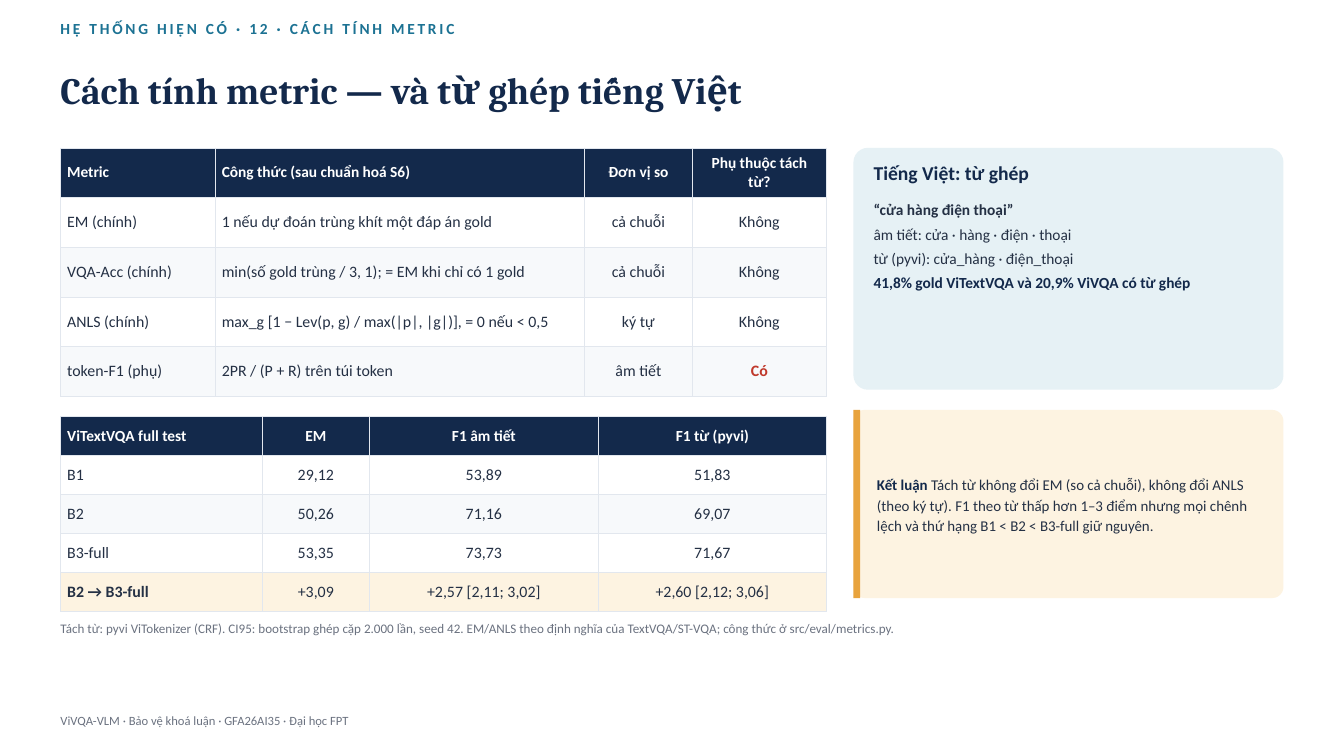
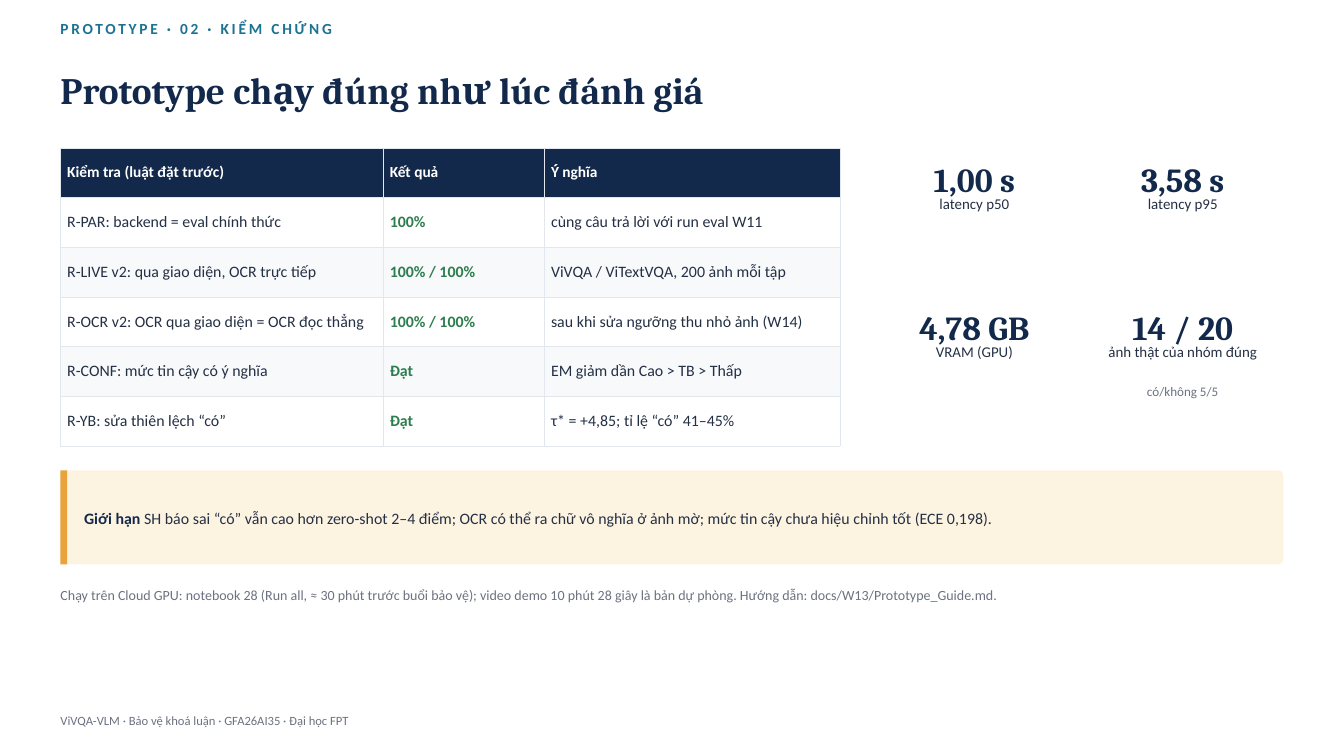
from lxml.etree import SubElement
from pptx import Presentation
from pptx.dml.color import RGBColor
from pptx.enum.shapes import MSO_SHAPE
from pptx.enum.text import MSO_ANCHOR, MSO_AUTO_SIZE, PP_ALIGN
from pptx.oxml import parse_xml
from pptx.oxml.ns import nsdecls, qn
from pptx.util import Inches, Pt

COLORS = {
    "navy": "13294B", "teal": "1C7293", "text": "243044", "muted": "6B7280",
    "white": "FFFFFF", "stripe": "F7F9FB", "grid": "E2E7EE", "ice": "E6F1F5",
    "cream": "FDF3E1", "amber": "E8A33D", "red": "C0392B", "green": "2E7D4F",
}
STYLES = {
    "kicker": {"name": "Calibri", "size": 16.5, "bold": True, "color": "teal"},
    "title": {"name": "Cambria", "size": 40, "bold": True, "color": "navy"},
    "header": {"name": "Calibri", "size": 16.5, "bold": True, "color": "white"},
    "cell": {"name": "Calibri", "size": 17, "bold": False, "color": "text"},
    "heading": {"name": "Calibri", "size": 21, "bold": True, "color": "navy"},
    "body": {"name": "Calibri", "size": 16.5, "bold": False, "color": "text"},
    "label": {"name": "Calibri", "size": 16, "bold": False, "color": "text"},
    "number": {"name": "Cambria", "size": 36, "bold": True, "color": "navy"},
    "note": {"name": "Calibri", "size": 14, "bold": False, "color": "muted"},
}
ALIGNS = {"l": PP_ALIGN.LEFT, "c": PP_ALIGN.CENTER}
LEFT, TOP, FULL_WIDTH = 0.9, 2.2, 18.2
FOOTER = "ViVQA-VLM · Bảo vệ khoá luận · GFA26AI35 · Đại học FPT"

METRIC_PAGE = {
    "kicker": "HỆ THỐNG HIỆN CÓ · 12 · CÁCH TÍNH METRIC",
    "title": "Cách tính metric — và từ ghép tiếng Việt",
    "tables": [
        {
            "top": TOP, "row_height": 0.74, "columns": [2.3, 5.5, 1.6, 2], "aligns": "llcc",
            "rows": [
                ("Metric", "Công thức (sau chuẩn hoá S6)", "Đơn vị so", "Phụ thuộc tách từ?"),
                ("EM (chính)", "1 nếu dự đoán trùng khít một đáp án gold", "cả chuỗi", "Không"),
                ("VQA-Acc (chính)", "min(số gold trùng / 3, 1); = EM khi chỉ có 1 gold",
                 "cả chuỗi", "Không"),
                ("ANLS (chính)", "max_g [1 − Lev(p, g) / max(|p|, |g|)], = 0 nếu < 0,5",
                 "ký tự", "Không"),
                ("token-F1 (phụ)", "2PR / (P + R) trên túi token", "âm tiết", "Có"),
            ],
            "strong": {(4, 3): "red"},
        },
        {
            "top": 6.2, "row_height": 0.58, "columns": [3, 1.6, 3.4, 3.4], "aligns": "lccc",
            "rows": [
                ("ViTextVQA full test", "EM", "F1 âm tiết", "F1 từ (pyvi)"),
                ("B1", "29,12", "53,89", "51,83"),
                ("B2", "50,26", "71,16", "69,07"),
                ("B3-full", "53,35", "73,73", "71,67"),
                ("B2 → B3-full", "+3,09", "+2,57 [2,11; 3,02]", "+2,60 [2,12; 3,06]"),
            ],
            "strong": {(4, 0): "text"},
            "highlight": 4,
        },
    ],
    "callout": {
        "area": (12.7, 6.1, 6.4, 2.8), "size": 16, "lead": "Kết luận ",
        "text": "Tách từ không đổi EM (so cả chuỗi), không đổi ANLS (theo ký tự). F1 theo từ "
                "thấp hơn 1–3 điểm nhưng mọi chênh lệch và thứ hạng B1 < B2 < B3-full giữ nguyên.",
    },
    "note": {
        "area": (LEFT, 9.2, FULL_WIDTH, 0.8), "size": 14,
        "text": "Tách từ: pyvi ViTokenizer (CRF). CI95: bootstrap ghép cặp 2.000 lần, seed 42. "
                "EM/ANLS theo định nghĩa của TextVQA/ST-VQA; công thức ở src/eval/metrics.py.",
    },
}
WORD_CARD = {
    "heading": "Tiếng Việt: từ ghép",
    "lines": [
        ("“cửa hàng điện thoại”", {"bold": True}),
        ("âm tiết: cửa · hàng · điện · thoại", {}),
        ("từ (pyvi): cửa_hàng · điện_thoại", {}),
        ("41,8% gold ViTextVQA và 20,9% ViVQA có từ ghép", {"bold": True, "color": "navy"}),
    ],
}
PROTOTYPE_PAGE = {
    "kicker": "PROTOTYPE · 02 · KIỂM CHỨNG",
    "title": "Prototype chạy đúng như lúc đánh giá",
    "tables": [
        {
            "top": TOP, "row_height": 0.74, "columns": [4.8, 2.4, 4.4], "aligns": "lll",
            "rows": [
                ("Kiểm tra (luật đặt trước)", "Kết quả", "Ý nghĩa"),
                ("R-PAR: backend = eval chính thức", "100%", "cùng câu trả lời với run eval W11"),
                ("R-LIVE v2: qua giao diện, OCR trực tiếp", "100% / 100%",
                 "ViVQA / ViTextVQA, 200 ảnh mỗi tập"),
                ("R-OCR v2: OCR qua giao diện = OCR đọc thẳng", "100% / 100%",
                 "sau khi sửa ngưỡng thu nhỏ ảnh (W14)"),
                ("R-CONF: mức tin cậy có ý nghĩa", "Đạt", "EM giảm dần Cao > TB > Thấp"),
                ("R-YB: sửa thiên lệch “có”", "Đạt", "τ* = +4,85; tỉ lệ “có” 41–45%"),
            ],
            "strong": {(row, 1): "green" for row in range(1, 6)},
        },
    ],
    "callout": {
        "area": (LEFT, 7, FULL_WIDTH, 1.4), "size": 17, "lead": "Giới hạn ",
        "text": "SH báo sai “có” vẫn cao hơn zero-shot 2–4 điểm; OCR có thể ra chữ vô nghĩa "
                "ở ảnh mờ; mức tin cậy chưa hiệu chỉnh tốt (ECE 0,198).",
    },
    "note": {
        "area": (LEFT, 8.7, FULL_WIDTH, 1), "size": 15,
        "text": "Chạy trên Cloud GPU: notebook 28 (Run all, ≈ 30 phút trước buổi bảo vệ); video demo "
                "10 phút 28 giây là bản dự phòng. Hướng dẫn: docs/W13/Prototype_Guide.md.",
    },
}
STATISTICS = [
    ("1,00 s", "latency p50", ""),
    ("3,58 s", "latency p95", ""),
    ("4,78 GB", "VRAM (GPU)", ""),
    ("14 / 20", "ảnh thật của nhóm đúng", "có/không 5/5"),
]


def color(name):
    return RGBColor.from_string(COLORS[name])


def add_span(para, text, style, **changes):
    span = para.add_run()
    span.text = text
    values = {**STYLES[style], **changes}
    span.font.color.rgb = color(values.pop("color"))
    values["size"] = Pt(values["size"])
    for key, value in values.items():
        setattr(span.font, key, value)
    return span


def fill_box(box, paragraphs, align="l", anchor=MSO_ANCHOR.TOP, spacing=1.12, after=4):
    frame = box.text_frame
    settings = {
        "word_wrap": True, "auto_size": MSO_AUTO_SIZE.SHAPE_TO_FIT_TEXT,
        "vertical_anchor": anchor, "margin_left": 0, "margin_top": 0,
        "margin_right": 0, "margin_bottom": 0,
    }
    for key, value in settings.items():
        setattr(frame, key, value)
    for index, spans in enumerate(paragraphs):
        para = frame.add_paragraph() if index else frame.paragraphs[0]
        para.alignment = ALIGNS[align]
        para.line_spacing = spacing
        para.space_before = Pt(0)
        para.space_after = Pt(after)
        for text, style, changes in spans:
            add_span(para, text, style, **changes)


def add_text(page, area, paragraphs, **layout):
    box = page.shapes.add_textbox(*map(Inches, area))
    fill_box(box, paragraphs, **layout)
    return box


def add_line(page, area, text, style, size=None, **layout):
    changes = {"size": size} if size else {}
    return add_text(page, area, [[(text, style, changes)]], **layout)


def add_panel(page, area, fill, kind=MSO_SHAPE.ROUNDED_RECTANGLE):
    panel = page.shapes.add_shape(kind, *map(Inches, area))
    if kind == MSO_SHAPE.ROUNDED_RECTANGLE:
        panel.adjustments[0] = 0.06
    panel.shadow.inherit = False
    panel.fill.solid()
    panel.fill.fore_color.rgb = color(fill)
    panel.line.fill.background()


def add_borders(cell):
    properties = cell._tc.get_or_add_tcPr()
    for index, side in enumerate(("lnL", "lnR", "lnT", "lnB")):
        line = parse_xml(f'<a:{side} {nsdecls("a")} w="{Pt(0.75)}"/>')
        fill = SubElement(line, qn("a:solidFill"))
        SubElement(fill, qn("a:srgbClr"), val=COLORS["grid"])
        properties.insert(index, line)


def row_fill(index, highlight):
    if index == 0:
        return "navy"
    if index == highlight:
        return "cream"
    return "white" if index % 2 else "stripe"


def add_grid(page, content):
    rows, columns = content["rows"], content["columns"]
    height = content["row_height"]
    area = (LEFT, content["top"], sum(columns), height * len(rows))
    table = page.shapes.add_table(len(rows), len(columns), *map(Inches, area)).table
    table.first_row = table.horz_banding = False
    for column, width in zip(table.columns, columns):
        column.width = Inches(width)
    for row_index, texts in enumerate(rows):
        table.rows[row_index].height = Inches(height)
        for column_index, text in enumerate(texts):
            cell = table.cell(row_index, column_index)
            cell.vertical_anchor = MSO_ANCHOR.MIDDLE
            cell.fill.solid()
            cell.fill.fore_color.rgb = color(row_fill(row_index, content.get("highlight")))
            add_borders(cell)
            para = cell.text_frame.paragraphs[0]
            para.alignment = ALIGNS[content["aligns"][column_index]]
            accent = content["strong"].get((row_index, column_index))
            changes = {"bold": True, "color": accent} if accent else {}
            add_span(para, text, "cell" if row_index else "header", **changes)


def add_callout(page, content):
    left, top, width, height = content["area"]
    add_panel(page, content["area"], "cream")
    add_panel(page, (left, top, 0.1, height), "amber", MSO_SHAPE.RECTANGLE)
    size = content["size"]
    spans = [
        (content["lead"], "body", {"size": size, "bold": True, "color": "navy"}),
        (content["text"], "body", {"size": size}),
    ]
    add_text(page, (left + 0.35, top, width - 0.55, height), [spans], anchor=MSO_ANCHOR.MIDDLE)


def add_page(deck, content):
    page = deck.slides.add_slide(deck.slide_layouts[5])
    kicker = add_line(page, (LEFT, 0.29, FULL_WIDTH, 0.64), content["kicker"], "kicker",
                      spacing=Pt(19.8), after=0)
    kicker.text_frame.paragraphs[0].runs[0]._r.get_or_add_rPr().set("spc", "300")
    title = page.shapes.title
    for key, value in zip(("left", "top", "width", "height"), (LEFT, 0.87, FULL_WIDTH, 1.11)):
        setattr(title, key, Inches(value))
    fill_box(title, [[(content["title"], "title", {})]], spacing=Pt(57.6), after=0)
    for table in content["tables"]:
        add_grid(page, table)
    add_callout(page, content["callout"])
    note = content["note"]
    add_line(page, note["area"], note["text"], "note", note["size"])
    add_line(page, (LEFT, 10.58, 15, 0.4), FOOTER, "note", 13.5)
    return page


def add_word_card(page):
    add_panel(page, (12.7, TOP, 6.4, 3.6), "ice")
    add_line(page, (13, 2.35, 5.9, 0.5), WORD_CARD["heading"], "heading")
    lines = [[(text, "body", changes)] for text, changes in WORD_CARD["lines"]]
    add_text(page, (13, 2.95, 5.9, 2.8), lines)


def add_statistics(page):
    for index, (number, label, detail) in enumerate(STATISTICS):
        row, column = divmod(index, 2)
        left, top = 13 + 3.1 * column, 2.3 + 2.2 * row
        add_line(page, (left, top, 3, 0.9), number, "number", align="c")
        add_line(page, (left, top + 0.58, 3, 0.8), label, "label", align="c", spacing=1.05)
        if detail:
            add_line(page, (left, top + 1.18, 3, 0.6), detail, "note", align="c")


def main():
    deck = Presentation()
    deck.slide_width, deck.slide_height = Inches(20), Inches(11.25)
    add_word_card(add_page(deck, METRIC_PAGE))
    add_statistics(add_page(deck, PROTOTYPE_PAGE))
    deck.save("out.pptx")


if __name__ == "__main__":
    main()
